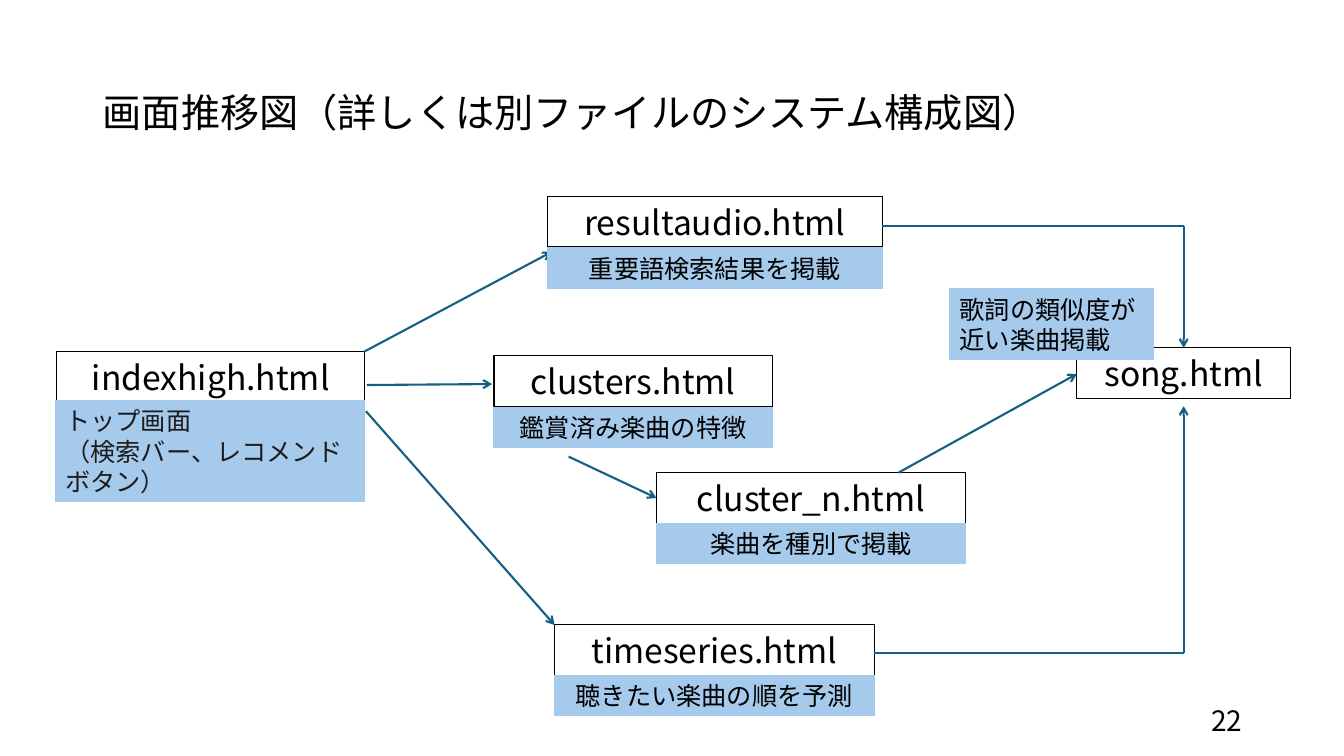
from pptx import Presentation
from pptx.dml.color import RGBColor
from pptx.enum.shapes import MSO_CONNECTOR, MSO_SHAPE
from pptx.enum.text import MSO_ANCHOR, PP_ALIGN
from pptx.oxml.ns import qn
from pptx.util import Inches, Pt
from lxml.etree import SubElement

FONT = "Noto Sans CJK JP"
BLACK = RGBColor(0x00, 0x00, 0x00)
CHARCOAL = RGBColor(0x1D, 0x1C, 0x1D)
TEAL = RGBColor(0x15, 0x60, 0x82)
SKY = RGBColor(0xA6, 0xCA, 0xEC)

# File name, left, top, width
PAGES = [
    ("clusters.html", 4.9, 3.53, 2.76),
    ("resultaudio.html", 5.43, 1.95, 3.32),
    ("song.html", 10.68, 3.45, 2.12),
    ("cluster_n.html", 6.51, 4.69, 3.07),
    ("timeseries.html", 5.5, 6.2, 3.17),
    ("indexhigh.html", 0.56, 3.49, 3.06),
]

# Text, left, top, width, height, alignment, colour
CAPTIONS = [
    ("トップ画面\n（検索バー、レコメンドボタン）", 0.55, 3.97, 3.07, 1.01,
     PP_ALIGN.LEFT, CHARCOAL),
    ("重要語検索結果を掲載", 5.43, 2.46, 3.32, 0.4, PP_ALIGN.CENTER, BLACK),
    ("歌詞の類似度が近い楽曲掲載", 9.42, 2.86, 2.02, 0.71, PP_ALIGN.LEFT, BLACK),
    ("鑑賞済み楽曲の特徴", 4.9, 4.04, 2.76, 0.4, PP_ALIGN.CENTER, BLACK),
    ("楽曲を種別で掲載", 6.51, 5.19, 3.07, 0.4, PP_ALIGN.CENTER, BLACK),
    ("聴きたい楽曲の順を予測", 5.5, 6.7, 3.17, 0.4, PP_ALIGN.CENTER, BLACK),
]

# Each route ends in an arrowhead at its last point
SONG_X = 11.74
ROUTES = [
    [(3.61, 3.49), (5.47, 2.5)],
    [(3.63, 4.08), (5.5, 6.2)],
    [(3.64, 3.82), (4.88, 3.81)],
    [(8.67, 6.48), (SONG_X, 6.48), (SONG_X, 4.03)],
    [(5.64, 4.53), (6.51, 4.94)],
    [(8.75, 2.24), (SONG_X, 2.24), (SONG_X, 3.45)],
    [(8.91, 4.69), (10.68, 3.71)],
]


def write(frame, text, size, align, color=BLACK, spacing=None):
    frame.word_wrap = True
    frame.vertical_anchor = MSO_ANCHOR.MIDDLE
    frame.text = text
    for paragraph in frame.paragraphs:
        paragraph.alignment = align
        paragraph.line_spacing = spacing or Pt(size * 1.2)
        for run in paragraph.runs:
            for key, value in {"name": FONT, "size": Pt(size), "bold": False}.items():
                setattr(run.font, key, value)
            run.font.color.rgb = color
            SubElement(run.font._element, qn("a:ea"), typeface=FONT)


def add_box(slide, text, place, size, line, fill=None, align=PP_ALIGN.CENTER, color=BLACK):
    box = slide.shapes.add_shape(MSO_SHAPE.RECTANGLE, *map(Inches, place))
    box.shadow.inherit = False
    if fill is None:
        box.fill.background()
    else:
        box.fill.solid()
        box.fill.fore_color.rgb = fill
    box.line.color.rgb = line
    box.line.width = Pt(0.75)
    write(box.text_frame, text, size, align, color)


def add_route(slide, points):
    """Join the points with straight lines and put an arrowhead on the last."""
    for start, end in zip(points, points[1:]):
        connector = slide.shapes.add_connector(
            MSO_CONNECTOR.STRAIGHT, *map(Inches, start + end))
        connector.line.color.rgb = TEAL
        connector.line.width = Pt(1.5)
        if end == points[-1]:
            SubElement(connector.line._get_or_add_ln(), qn("a:tailEnd"), type="arrow")
        SubElement(connector._element.spPr, qn("a:effectLst"))


def add_title(slide, text):
    title = slide.shapes.title
    place = {"left": 0.92, "top": 0.41, "width": 11.5, "height": 1.45}
    for key, value in place.items():
        setattr(title, key, Inches(value))
    write(title.text_frame, text, 28, PP_ALIGN.LEFT, spacing=0.9)


def add_page_number(slide, number):
    box = slide.shapes.add_textbox(*map(Inches, (9.42, 6.95, 3, 0.4)))
    write(box.text_frame, number, 20, PP_ALIGN.RIGHT)


def main():
    deck = Presentation()
    deck.slide_width = Inches(13.33)
    deck.slide_height = Inches(7.5)
    slide = deck.slides.add_slide(deck.slide_layouts[5])

    add_title(slide, "画面推移図（詳しくは別ファイルのシステム構成図）")
    for name, left, top, width in PAGES:
        add_box(slide, name, (left, top, width, 0.5), 24, BLACK)
    for points in ROUTES:
        add_route(slide, points)
    for text, left, top, width, height, align, color in CAPTIONS:
        add_box(slide, text, (left, top, width, height), 18, SKY, SKY, align, color)
    add_page_number(slide, "22")
    deck.save("out.pptx")


if __name__ == "__main__":
    main()
